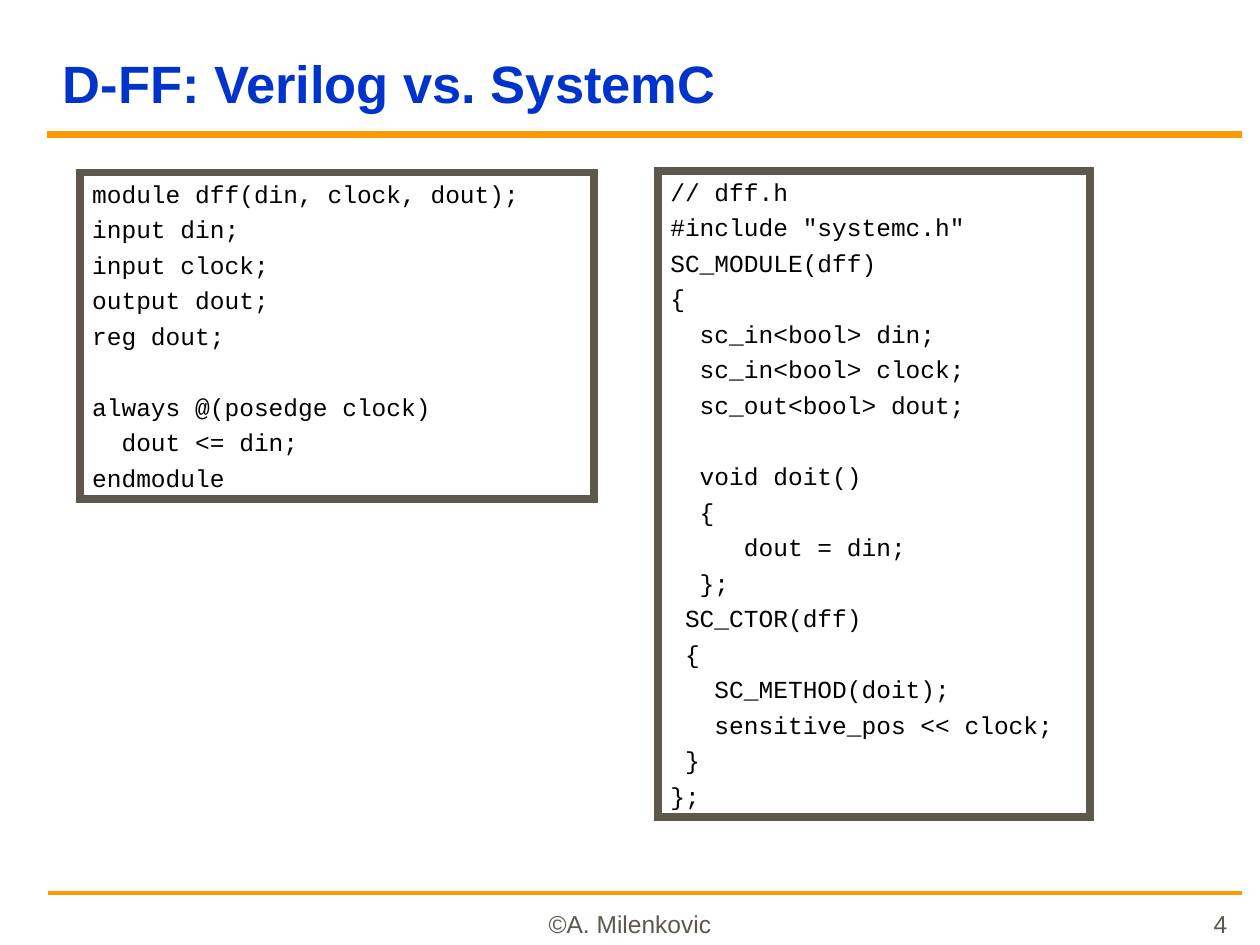
from pptx import Presentation
from pptx.dml.color import RGBColor
from pptx.enum.shapes import MSO_CONNECTOR, MSO_SHAPE
from pptx.enum.text import MSO_ANCHOR, PP_ALIGN
from pptx.oxml.ns import qn
from pptx.util import Pt
from lxml.etree import SubElement

BLUE = RGBColor(0x00, 0x33, 0xCC)
ORANGE = RGBColor(0xFF, 0x99, 0x00)
BROWN = RGBColor(0x5E, 0x57, 0x4E)
BLACK = RGBColor(0x00, 0x00, 0x00)

VERILOG = """module dff(din, clock, dout);
input din;
input clock;
output dout;
reg dout;

always @(posedge clock)
  dout <= din;
endmodule"""

SYSTEMC = """// dff.h
#include "systemc.h"
SC_MODULE(dff)
{
  sc_in<bool> din;
  sc_in<bool> clock;
  sc_out<bool> dout;

  void doit()
  {
     dout = din;
  };
 SC_CTOR(dff)
 {
   SC_METHOD(doit);
   sensitive_pos << clock;
 }
};"""


class CodeSlide:
    text_font = "Arial"
    code_font = "Courier New"
    small_size = 14
    line_gap = 3.5
    line_pitch = 20.3

    def __init__(self, slide):
        self.shapes = slide.shapes

    def format_text(self, paragraph, font, size, color, bold=False):
        for run in paragraph.runs:
            run.font.name = font
            run.font.size = Pt(size)
            run.font.color.rgb = color
            run.font.bold = bold

    def rule(self, left, right, y, weight):
        line = self.shapes.add_connector(
            MSO_CONNECTOR.STRAIGHT, Pt(left), Pt(y), Pt(right), Pt(y))
        line.line.color.rgb = ORANGE
        line.line.width = Pt(weight)
        SubElement(line._element.spPr, qn("a:effectLst"))

    def label(self, box, text, size, color, align=PP_ALIGN.LEFT, bold=False):
        frame = self.shapes.add_textbox(*map(Pt, box)).text_frame
        frame.word_wrap = True
        frame.vertical_anchor = MSO_ANCHOR.BOTTOM
        frame.text = text
        paragraph = frame.paragraphs[0]
        paragraph.alignment = align
        self.format_text(paragraph, self.text_font, size, color, bold)

    def code(self, box, listing):
        panel = self.shapes.add_shape(MSO_SHAPE.RECTANGLE, *map(Pt, box))
        panel.shadow.inherit = False
        panel.fill.background()
        panel.line.color.rgb = BROWN
        panel.line.width = Pt(4.5)
        outline = panel._element.spPr.find(qn("a:ln"))
        SubElement(outline, qn("a:miter"), lim="800000")
        frame = panel.text_frame
        frame.word_wrap = True
        frame.vertical_anchor = MSO_ANCHOR.TOP
        sections = listing.split("\n\n")
        frame.text = "\n".join(sections)
        section_start = len(sections[0].split("\n"))
        for index, paragraph in enumerate(frame.paragraphs):
            paragraph.alignment = PP_ALIGN.LEFT
            gap = self.line_gap if index else 0
            if index == section_start:
                gap += self.line_pitch
            paragraph.space_before = Pt(gap)
            self.format_text(paragraph, self.code_font, self.small_size, BLACK)


def main():
    deck = Presentation()
    deck.slide_width, deck.slide_height = Pt(720), Pt(540)
    page = CodeSlide(deck.slides.add_slide(deck.slide_layouts[6]))

    page.rule(27.4, 710, 510.5, 2.25)
    page.rule(26.8, 709.6, 76.9, 4.5)
    page.label((246, 507, 228, 33), "©A. Milenkovic", page.small_size, BROWN,
               PP_ALIGN.CENTER)
    page.label((536.4, 512, 172, 28), "4", page.small_size, BROWN,
               PP_ALIGN.RIGHT)
    page.label((28.8, 13.4, 681, 55.4), "D-FF: Verilog vs. SystemC", 30, BLUE,
               bold=True)
    page.code((45.6, 98.6, 294, 186.4), VERILOG)
    page.code((376, 97.5, 247, 369.2), SYSTEMC)

    deck.save("out.pptx")


if __name__ == "__main__":
    main()
